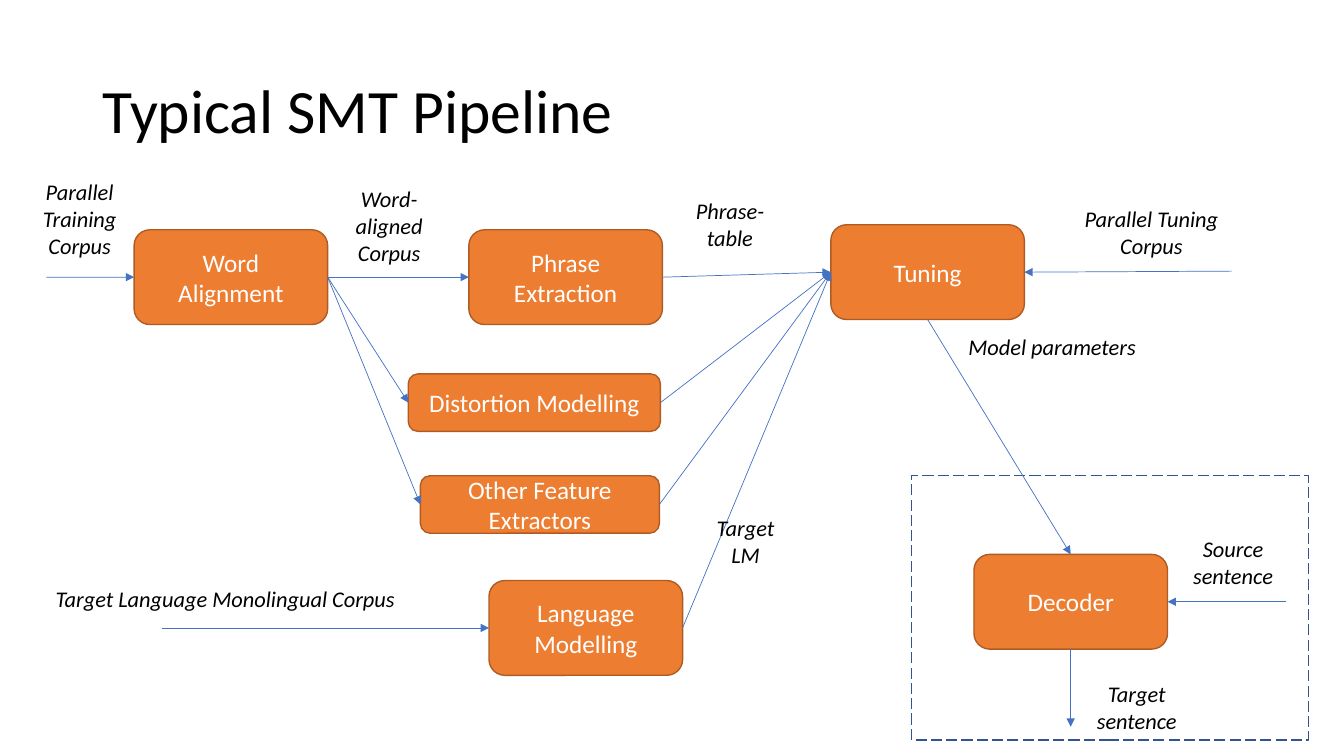
import pptx
import pptx.util
import pptx.dml.color
import pptx.enum.dml
import pptx.enum.shapes
import pptx.enum.text
import pptx.oxml
import pptx.oxml.ns

RGB = pptx.dml.color.RGBColor
SHAPE = pptx.enum.shapes.MSO_SHAPE
ALIGN = pptx.enum.text.PP_ALIGN
ANCHOR = pptx.enum.text.MSO_ANCHOR
FIT = pptx.enum.text.MSO_AUTO_SIZE

ORANGE = RGB(0xED, 0x7D, 0x31)
BROWN = RGB(0xAF, 0x5C, 0x24)
BLUE = RGB(0x44, 0x72, 0xC4)
NAVY = RGB(0x32, 0x54, 0x91)
BLACK = RGB(0, 0, 0)
WHITE = RGB(255, 255, 255)

# Content: places are columns and rows of a one-inch grid
COLS, ROWS = 13.33, 7.5
TITLE = "Typical SMT Pipeline"
BIG = (1.92, 0.94)
STEPS = {  # key: text, left, top, size
    "word": ("Word Alignment", 1.33, 2.28, BIG),
    "phrase": ("Phrase Extraction", 4.65, 2.28, BIG),
    "tuning": ("Tuning", 8.24, 2.23, BIG),
    "language": ("Language Modelling", 4.85, 5.76, BIG),
    "decoder": ("Decoder", 9.66, 5.5, BIG),
    "distort": ("Distortion Modelling", 4.05, 3.71, (2.5, 0.57)),
    "other": ("Other Feature Extractors", 4.17, 4.72, (2.37, 0.57)),
}
TOP, LEFT, BOTTOM, RIGHT = range(4)
LINKS = [  # each end is a step and its side, or a free point
    (("word", RIGHT), ("phrase", LEFT)),
    (("word", RIGHT), ("distort", LEFT)),
    (("word", RIGHT), ("other", LEFT)),
    (("phrase", RIGHT), ("tuning", LEFT)),
    (("distort", RIGHT), ("tuning", LEFT)),
    (("other", RIGHT), ("tuning", LEFT)),
    (("language", RIGHT), ("tuning", LEFT)),
    (("tuning", BOTTOM), ("decoder", TOP)),
    ((0.46, 2.75), ("word", LEFT)),
    ((1.61, 6.23), ("language", LEFT)),
    ((12.22, 2.69), ("tuning", RIGHT)),
    ((12.75, 5.97), ("decoder", RIGHT)),
    (("decoder", BOTTOM), (10.62, 7.21)),
]
LABELS = [  # text, left, top, width, height, wrap
    ("Target Language Monolingual Corpus", 0.43, 5.76, 3.61, 0.37, False),
    ("Target\nLM", 6.98, 5.05, 0.83, 0.64, False),
    ("Parallel\nTraining Corpus", 0.32, 1.72, 0.94, 0.91, True),
    ("Word-aligned Corpus", 3.39, 1.79, 0.94, 0.91, True),
    ("Phrase-table", 6.77, 1.91, 0.94, 0.64, True),
    ("Source sentence", 11.56, 5.26, 1.34, 0.64, True),
    ("Target sentence", 10.69, 6.7, 1.17, 0.64, True),
    ("Model parameters", 8.88, 3.26, 3.11, 0.37, True),
    ("Parallel Tuning Corpus", 10.44, 1.99, 1.96, 0.64, True),
]


def grid(*cells):
    return [pptx.util.Inches(cell) for cell in cells]


def write(frame, text, size=16, color=BLACK, italic=False,
          align=ALIGN.CENTER, anchor=ANCHOR.TOP, wrap=True, space=None):
    frame.text = text
    frame.word_wrap = wrap
    frame.vertical_anchor = anchor
    for para in frame.paragraphs:
        para.alignment = align
        para.line_spacing = space
        font = para.runs[0].font
        font.name = "Calibri"
        font.size = pptx.util.Pt(size)
        font.italic = italic
        font.color.rgb = color


def outline(line, color, width):
    line.color.rgb = color
    line.width = pptx.util.Pt(width)


def link(shapes, boxes, start, end):
    free = [p if not isinstance(p[0], str) else (0, 0) for p in (start, end)]
    arrow = shapes.add_connector(pptx.enum.shapes.MSO_CONNECTOR.STRAIGHT,
                                 *grid(*free[0], *free[1]))
    for point, join in ((start, arrow.begin_connect), (end, arrow.end_connect)):
        if isinstance(point[0], str):
            join(boxes[point[0]], point[1])
    outline(arrow.line, BLUE, 0.5)
    # Arrowhead and no shadow
    props = arrow._element.spPr
    head = pptx.oxml.parse_xml(
        f'<a:tailEnd {pptx.oxml.ns.nsdecls("a")} type="triangle"/>')
    props.find(pptx.oxml.ns.qn("a:ln")).append(head)
    props.append(pptx.oxml.parse_xml(
        f'<a:effectLst {pptx.oxml.ns.nsdecls("a")}/>'))


def main():
    deck = pptx.Presentation()
    deck.slide_width, deck.slide_height = grid(COLS, ROWS)
    slide = deck.slides.add_slide(deck.slide_layouts[5])
    shapes = slide.shapes

    # Title
    title = shapes.title
    title.left, title.top, title.width, title.height = grid(0.92, 0.4, 11.5, 1.45)
    write(title.text_frame, TITLE, size=44, align=ALIGN.LEFT,
          anchor=ANCHOR.MIDDLE, space=0.9)

    # Dashed frame around decoding
    frame = shapes.add_shape(SHAPE.RECTANGLE, *grid(9.04, 4.72, 3.94, 2.62))
    frame.shadow.inherit = False
    frame.fill.background()
    outline(frame.line, NAVY, 1)
    frame.line.dash_style = pptx.enum.dml.MSO_LINE.LONG_DASH

    # Steps
    boxes = {}
    for key, (text, left, top, size) in STEPS.items():
        box = shapes.add_shape(SHAPE.ROUNDED_RECTANGLE, *grid(left, top, *size))
        box.shadow.inherit = False
        box.fill.solid()
        box.fill.fore_color.rgb = ORANGE
        outline(box.line, BROWN, 1)
        write(box.text_frame, text, size=18, color=WHITE, anchor=ANCHOR.MIDDLE)
        boxes[key] = box

    # Arrows
    for start, end in LINKS:
        link(shapes, boxes, start, end)

    # Labels
    for text, left, top, width, height, wrap in LABELS:
        label = shapes.add_textbox(*grid(left, top, width, height))
        write(label.text_frame, text, italic=True, wrap=wrap)
        label.text_frame.auto_size = FIT.SHAPE_TO_FIT_TEXT

    deck.save("out.pptx")


if __name__ == "__main__":
    main()
